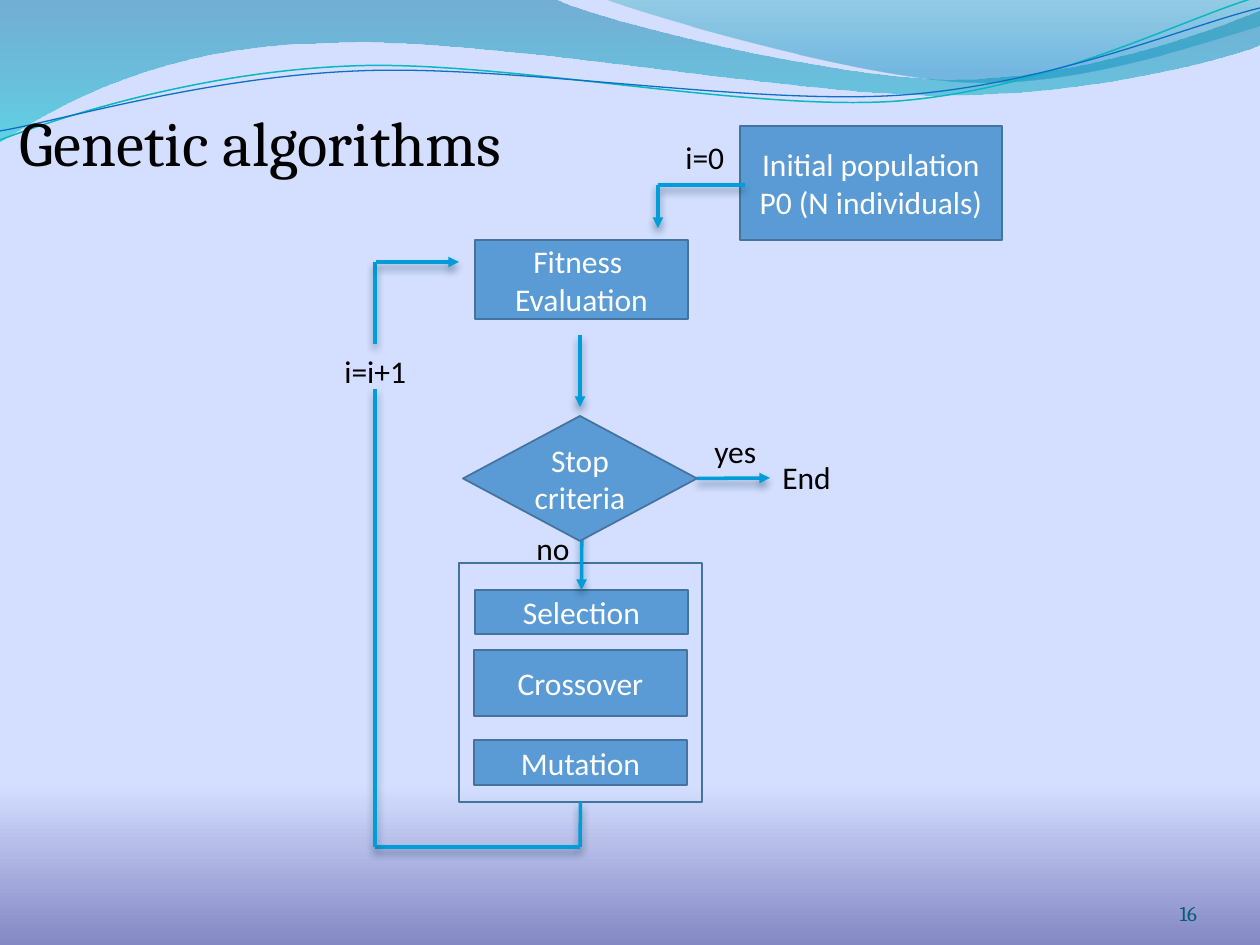
"""Build the genetic algorithms flowchart slide."""
from dataclasses import dataclass

import pptx
import pptx.dml.color
import pptx.enum.dml
import pptx.enum.shapes
import pptx.enum.text
import pptx.oxml
import pptx.oxml.ns
import pptx.util

SCALE = pptx.util.Inches(10) / 1260
SHAPES = pptx.enum.shapes.MSO_SHAPE
ALIGN = pptx.enum.text.PP_ALIGN
ANCHOR = pptx.enum.text.MSO_ANCHOR
TOP, LEFT, BOTTOM, RIGHT = range(4)


@dataclass(frozen=True)
class Theme:
    """Colours, fonts and sizes of the slide."""
    background: tuple = ((83, "D4DEFF", 100), (100, "8488C4", 100))
    wide_wave: tuple = ((0, "0074A1", 45), (100, "00C6CF", 55))
    corner_wave: tuple = ((0, "00A1A9", 30), (80, "008BBF", 45))
    teal: str = "0AB8BF"
    blue: str = "0F6FC6"
    box: str = "5B9BD5"
    outline: str = "43739E"
    arrow: str = "009DD9"
    shadow: str = "00374C"
    dark: str = "000000"
    light: str = "FFFFFF"
    number: str = "045D75"
    heading_font: str = "Cambria"
    body_font: str = "Calibri"
    title_size: int = 36
    body_size: int = 18
    number_size: int = 12


THEME = Theme()


def px(value):
    return round(value * SCALE)


def rgb(value):
    return pptx.dml.color.RGBColor.from_string(value)


def append_xml(parent, xml):
    namespace = pptx.oxml.ns.nsdecls("a")
    parent.append(pptx.oxml.parse_xml(xml.replace(" ", f" {namespace} ", 1)))


def set_gradient(fill, stops):
    fill.gradient()
    fill.gradient_angle = 270
    for stop, (position, color, _) in zip(fill.gradient_stops, stops):
        stop.position = position / 100
        stop.color.rgb = rgb(color)


def set_line(line, color, width):
    line.color.rgb = rgb(color)
    line.width = pptx.util.Pt(width)


def write(shape, text, color, size=THEME.body_size, font=THEME.body_font, align=ALIGN.LEFT):
    frame = shape.text_frame
    frame.text = text
    for paragraph in frame.paragraphs:
        paragraph.alignment = align
        for run in paragraph.runs:
            run.font.name = font
            run.font.size = pptx.util.Pt(size)
            run.font.color.rgb = rgb(color)


def add_curve(slide, start, segments, closed):
    """Draw straight (one-point) and cubic (three-point) segments as one outline."""
    builder = slide.shapes.build_freeform(*start, scale=SCALE)
    builder.add_line_segments([point for segment in segments for point in segment], close=closed)
    shape = builder.convert_to_shape()
    shape.shadow.inherit = False
    steps = iter(list(shape._element.spPr.iter(pptx.oxml.ns.qn("a:lnTo"))))
    for segment in segments:
        first, *others = [next(steps) for _ in segment]
        if others:
            first.tag = pptx.oxml.ns.qn("a:cubicBezTo")
        for step in others:
            first.append(step[0])
            step.getparent().remove(step)
    return shape


def add_wave_area(slide, stops, start, segments):
    shape = add_curve(slide, start, segments, True)
    shape.line.fill.background()
    set_gradient(shape.fill, stops)
    colors = shape._element.spPr.iter(pptx.oxml.ns.qn("a:srgbClr"))
    for color, (_, _, opacity) in zip(list(colors), stops):
        append_xml(color, f'<a:alpha val="{opacity * 1000}"/>')


def add_wave_line(slide, color, width, start, segments):
    shape = add_curve(slide, start, segments, False)
    shape.fill.background()
    set_line(shape.line, color, width)


def add_box(slide, bounds, text="", kind=SHAPES.RECTANGLE):
    shape = slide.shapes.add_shape(kind, *map(px, bounds))
    shape.shadow.inherit = False
    set_line(shape.line, THEME.outline, 1)
    if not text:
        shape.fill.background()
        return shape
    shape.fill.solid()
    shape.fill.fore_color.rgb = rgb(THEME.box)
    frame = shape.text_frame
    frame.margin_left = frame.margin_right = 0
    frame.vertical_anchor = ANCHOR.MIDDLE
    write(shape, text, THEME.light, align=ALIGN.CENTER)
    return shape


def add_label(slide, bounds, text):
    shape = slide.shapes.add_textbox(*map(px, bounds))
    shape.text_frame.word_wrap = False
    write(shape, text, THEME.dark)


def add_link(slide, start, end, arrow=False, source=None, target=None):
    """Add a line; source and target are (shape, side) joints."""
    line = slide.shapes.add_connector(pptx.enum.shapes.MSO_CONNECTOR.STRAIGHT,
                                      *map(px, (*start, *end)))
    if source:
        line.begin_connect(*source)
    if target:
        line.end_connect(*target)
    set_line(line.line, THEME.arrow, 2)
    if arrow:
        append_xml(line.line._get_or_add_ln(), '<a:tailEnd type="triangle"/>')
    append_xml(line._element.spPr,
               '<a:effectLst ><a:outerShdw blurRad="57150" dist="38100" dir="5400000">'
               f'<a:srgbClr val="{THEME.shadow}"><a:alpha val="48000"/></a:srgbClr>'
               '</a:outerShdw></a:effectLst>')


def add_waves(slide):
    add_wave_area(slide, THEME.wide_wave, (0, 0), [
        [(554, -1)], [(600, 21), (837, 79), (955, 79)], [(1075, 79), (1207, 33), (1260, 11)],
        [(1261, 45)], [(1239, 55), (1096, 96), (940, 95)], [(784, 95), (481, 35), (324, 43)],
        [(163, 45), (58, 105), (-1, 142)], [(0, 0)]])
    add_wave_area(slide, THEME.corner_wave, (604, -1), [
        [(641, 14), (859, 78), (969, 82)], [(1079, 87), (1211, 40), (1260, 26)],
        [(1260, 0)], [(604, -1)]])
    add_wave_line(slide, THEME.teal, 0.85, (0, 140), [
        [(60, 117), (199, 72), (349, 66)], [(498, 59), (747, 112), (898, 101)],
        [(1050, 89), (1182, 19), (1257, -3)]])
    add_wave_line(slide, THEME.blue, 0.75, (0, 131), [
        [(59, 121), (207, 77), (357, 71)], [(508, 64), (752, 106), (903, 95)],
        [(1053, 84), (1186, 26), (1260, 8)]])


def add_flowchart(slide):
    add_box(slide, (740, 126, 262, 114), "Initial population\nP0 (N individuals)")
    add_box(slide, (475, 240, 213, 79), "Fitness \nEvaluation")
    add_box(slide, (474, 740, 213, 45), "Mutation")
    selection = add_box(slide, (475, 590, 213, 44), "Selection")
    add_box(slide, (474, 650, 213, 66), "Crossover")
    frame = add_box(slide, (459, 563, 243, 239))
    stop = add_box(slide, (463, 416, 234, 125), "Stop\ncriteria", SHAPES.DIAMOND)

    add_link(slide, (580, 335), (580, 407), arrow=True)
    add_link(slide, (697, 478), (770, 478), arrow=True, source=(stop, RIGHT))
    add_link(slide, (582, 508), (582, 590), arrow=True, target=(selection, TOP))
    add_link(slide, (580, 802), (580, 847), source=(frame, BOTTOM))
    add_link(slide, (580, 847), (375, 847))
    add_link(slide, (375, 847), (375, 389))
    add_link(slide, (375, 344), (375, 262))
    add_link(slide, (376, 262), (459, 262), arrow=True)
    add_link(slide, (745, 185), (658, 185))
    add_link(slide, (658, 185), (658, 228), arrow=True)

    for bounds, text in (((702, 426, 68, 50), "yes"), ((770, 452, 74, 50), "End"),
                         ((524, 523, 59, 50), "no"), ((332, 346, 88, 50), "i=i+1"),
                         ((673, 132, 64, 50), "i=0")):
        add_label(slide, bounds, text)
    slide.shapes._spTree.append(stop._element)


def add_title(slide):
    title = slide.shapes.title
    title.left, title.top, title.width, title.height = map(px, (7, 97, 547, 89))
    title.text_frame.word_wrap = False
    title.text_frame.vertical_anchor = ANCHOR.TOP
    write(title, "Genetic algorithms", THEME.dark, THEME.title_size, THEME.heading_font)
    slide.shapes._spTree.append(title._element)


def add_number(slide):
    shape = slide.shapes.add_textbox(*map(px, (1092, 876, 105, 50)))
    frame = shape.text_frame
    frame.word_wrap = True
    frame.margin_left = frame.margin_right = frame.margin_top = frame.margin_bottom = 0
    frame.vertical_anchor = ANCHOR.BOTTOM
    write(shape, "16", THEME.number, THEME.number_size, THEME.heading_font, ALIGN.RIGHT)


def main():
    presentation = pptx.Presentation()
    presentation.slide_width, presentation.slide_height = px(1260), px(945)
    slide = presentation.slides.add_slide(presentation.slide_layouts[5])
    set_gradient(slide.background.fill, THEME.background)
    add_waves(slide)
    add_number(slide)
    add_flowchart(slide)
    add_title(slide)
    presentation.save("out.pptx")


if __name__ == "__main__":
    main()
